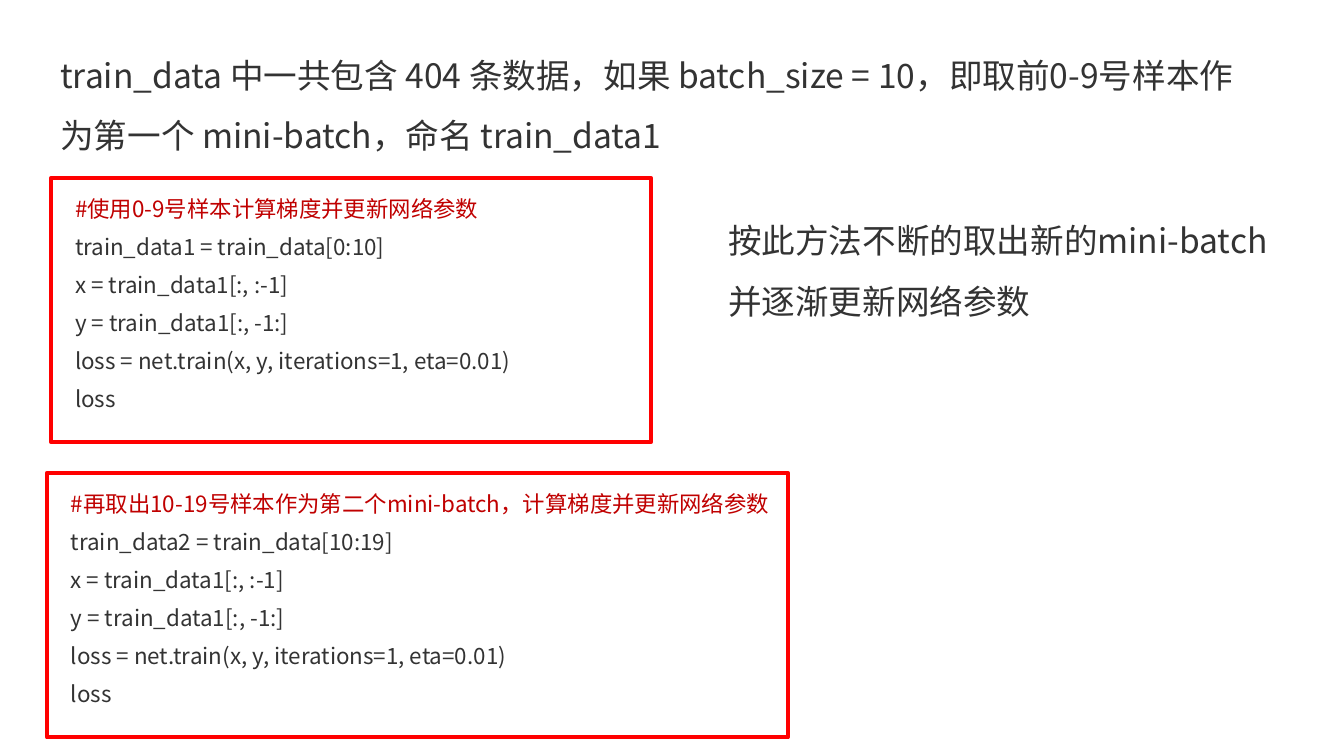
"""Build a slide that explains mini-batch training with two code samples."""
from lxml import etree
from pptx import Presentation
from pptx import util as u
from pptx.dml.color import RGBColor
from pptx.enum import shapes, text
from pptx.oxml.ns import qn

DARK = RGBColor(0x33, 0x33, 0x33)
CRIMSON = RGBColor(0xC0, 0x00, 0x00)
RED = RGBColor(0xFF, 0x00, 0x00)
FONT = "Noto Sans CJK SC"
BODY = {"size": u.Pt(18), "name": FONT}
CODE = {"size": u.Pt(12), "name": FONT}


def add_text(s, box, lines, font, spacing):
    tf = s.shapes.add_textbox(*map(u.Cm, box)).text_frame
    tf.word_wrap = True
    tf.auto_size = text.MSO_AUTO_SIZE.SHAPE_TO_FIT_TEXT
    for i, (line, color) in enumerate(lines):
        p = tf.add_paragraph() if i else tf.paragraphs[0]
        for key, value in spacing.items():
            setattr(p, key, value)
        r = p.add_run()
        r.text = line
        for key, value in font.items():
            setattr(r.font, key, value)
        r.font.color.rgb = color
        etree.SubElement(r._r.get_or_add_rPr(), qn("a:ea"), typeface=FONT)


prs = Presentation()
prs.slide_width, prs.slide_height = u.Cm(25.4), u.Cm(14.29)
s = prs.slides.add_slide(prs.slide_layouts[6])

body_spacing = {"line_spacing": 1.5, "space_before": u.Pt(9)}
code_spacing = {"space_before": u.Pt(6)}

intro = "train_data 中一共包含 404 条数据，如果 batch_size = 10，即取前0-9号样本作为第一个 mini-batch，命名 train_data1"
add_text(s, (0.89, 0.53, 22.73, 2.39), [(intro, DARK)], BODY, body_spacing)

training = [
    "x = train_data1[:, :-1]",
    "y = train_data1[:, -1:]",
    "loss = net.train(x, y, iterations=1, eta=0.01)",
    "loss",
]
samples = [
    ((1.17, 3.56, 10.74, 4.62), 11.33,
     "#使用0-9号样本计算梯度并更新网络参数",
     "train_data1 = train_data[0:10]"),
    ((1.09, 9.14, 13.79, 4.62), 14,
     "#再取出10-19号样本作为第二个mini-batch，计算梯度并更新网络参数",
     "train_data2 = train_data[10:19]"),
]
for box, frame_width, comment, batch in samples:
    lines = [(comment, CRIMSON)] + [(line, DARK) for line in [batch, *training]]
    add_text(s, box, lines, CODE, code_spacing)
    frame = (box[0] - 0.2, box[1] - 0.2, frame_width, 5)
    sp = s.shapes.add_shape(shapes.MSO_SHAPE.RECTANGLE, *map(u.Cm, frame))
    sp.shadow.inherit = False
    sp.fill.background()
    sp.line.color.rgb = RED
    sp.line.width = u.Pt(2.25)

summary = "按此方法不断的取出新的mini-batch并逐渐更新网络参数"
add_text(s, (13.51, 3.66, 11, 2.57), [(summary, DARK)], BODY, body_spacing)

prs.save("out.pptx")
